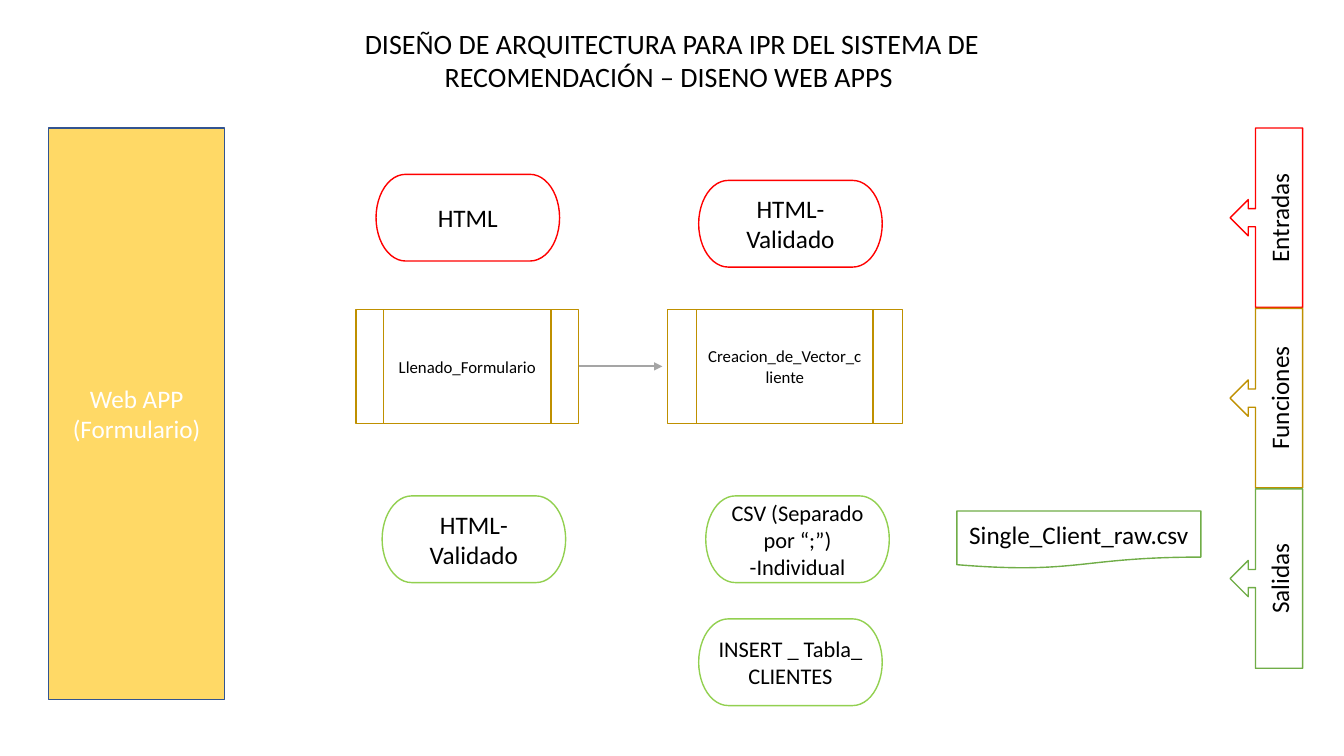
from pptx import Presentation
from pptx.dml.color import RGBColor
from pptx.enum.dml import MSO_LINE
from pptx.enum.shapes import MSO_CONNECTOR, MSO_SHAPE
from pptx.enum.text import MSO_ANCHOR, PP_ALIGN
from pptx.oxml.ns import qn
from pptx.util import Inches, Pt
from lxml import etree

RECT = MSO_SHAPE.RECTANGLE
PROCESS = MSO_SHAPE.FLOWCHART_PREDEFINED_PROCESS
PILL = MSO_SHAPE.FLOWCHART_TERMINATOR
FILE = MSO_SHAPE.FLOWCHART_DOCUMENT
CALLOUT = MSO_SHAPE.LEFT_ARROW_CALLOUT
STRAIGHT = MSO_CONNECTOR.STRAIGHT
SOLID = MSO_LINE.SOLID
CENTER = PP_ALIGN.CENTER
TOP, MIDDLE = MSO_ANCHOR.TOP, MSO_ANCHOR.MIDDLE

FONT = "Calibri"
BLACK, WHITE, GRAY = "000000", "FFFFFF", "A5A5A5"
RED, GOLD, LIME, GREEN = "FF0000", "BF9000", "92D050", "70AD47"
YELLOW, BLUE = "FFD966", "325491"


def color(code):
    return RGBColor.from_string(code)


class Board:
    """Holds the style and the current slide."""

    def __init__(self, deck, font):
        self.font = font
        self.slide = deck.slides.add_slide(deck.slide_layouts[5])

    def label(self, shape, text, size, ink, anchor=MIDDLE):
        frame = shape.text_frame
        frame.word_wrap = True
        frame.vertical_anchor = anchor
        par = frame.paragraphs[0]
        par.alignment = CENTER
        par.line_spacing = 1.0
        run = par.add_run()
        run.text = text
        run.font.name = self.font
        run.font.size = Pt(size)
        run.font.color.rgb = color(ink)

    def title(self, text, x, y, w, h):
        shape = self.slide.shapes.title
        shape.left, shape.top = Inches(x), Inches(y)
        shape.width, shape.height = Inches(w), Inches(h)
        self.label(shape, text, 20, BLACK, TOP)

    def box(self, kind, text, x, y, w, h, line, size=18, fill=WHITE, ink=BLACK):
        shape = self.slide.shapes.add_shape(
            kind, Inches(x), Inches(y), Inches(w), Inches(h))
        shape.shadow.inherit = False
        if fill:
            shape.fill.solid()
            shape.fill.fore_color.rgb = color(fill)
        else:
            shape.fill.background()
        shape.line.color.rgb = color(line)
        shape.line.width = Pt(1)
        self.label(shape, text, size, ink)
        return shape

    def callout(self, text, x, y, w, h, line):
        shape = self.box(CALLOUT, text, x, y, w, h, line)
        shape.text_frame._txBody.bodyPr.set("vert", "vert270")

    def arrow(self, start, end_x):
        y = start.top + start.height // 2
        line = self.slide.shapes.add_connector(
            STRAIGHT, start.left + start.width, y, Inches(end_x), y)
        line.begin_connect(start, 3)
        line.line.color.rgb = color(GRAY)
        line.line.width = Pt(1.5)
        line.line.dash_style = SOLID
        props = line._element.spPr
        tail = etree.SubElement(props.find(qn("a:ln")), qn("a:tailEnd"))
        tail.set("type", "triangle")
        etree.SubElement(props, qn("a:effectLst"))


def main():
    deck = Presentation()
    deck.slide_width, deck.slide_height = Inches(13.33), Inches(7.5)
    board = Board(deck, FONT)

    # Title and application panel
    board.title("DISEÑO DE ARQUITECTURA PARA IPR DEL SISTEMA DE "
                "RECOMENDACIÓN – DISENO WEB APPS ", 3.01, 0.21, 7.31, 0.77)
    board.box(RECT, "Web APP (Formulario)", 0.48, 1.27, 1.75, 5.67, BLUE,
              fill=YELLOW, ink=WHITE)

    # Functions, joined by an arrow
    row, tall = 3.07, 1.13
    form = board.box(PROCESS, "Llenado_Formulario", 3.53, row, 2.21, tall,
                     GOLD, 12, None)
    board.arrow(form, 6.57)
    board.box(PROCESS, "Creacion_de_Vector_cliente", 6.62, row, 2.33, tall,
              GOLD, 12, None)

    # Inputs and outputs of each function
    pills = [
        ("HTML", 3.73, 1.73, RED, 18),
        ("HTML-Validado", 3.79, 4.92, LIME, 18),
        ("HTML-Validado", 6.93, 1.79, RED, 18),
        ("CSV (Separado por “;”) -Individual", 7, 4.92, LIME, 16),
        ("INSERT _ Tabla_ CLIENTES", 6.93, 6.14, LIME, 16),
    ]
    for text, x, y, line, size in pills:
        board.box(PILL, text, x, y, 1.82, 0.86, line, size)
    board.box(FILE, "Single_Client_raw.csv", 9.49, 5.07, 2.42, 0.57, GREEN)

    # Row labels on the right
    step = 1.79
    labels = [("Entradas", RED), ("Funciones", GOLD), ("Salidas", GREEN)]
    for i, (text, line) in enumerate(labels):
        board.callout(text, 12.2, 1.27 + i * step, 0.72, 1.78, line)

    deck.save("out.pptx")


if __name__ == "__main__":
    main()
